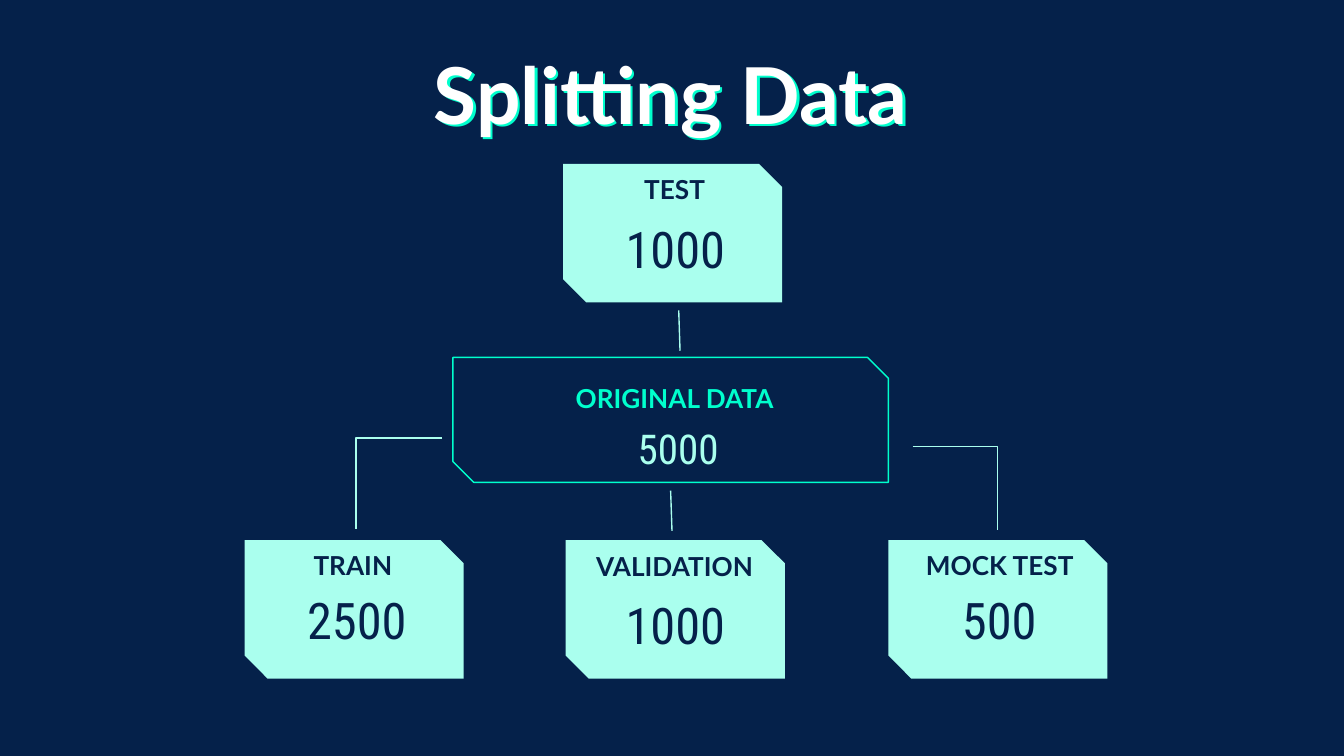
from typing import NamedTuple, Optional

from lxml.etree import SubElement
from pptx import Presentation
from pptx.dml.color import RGBColor
from pptx.enum.shapes import MSO_CONNECTOR, MSO_SHAPE
from pptx.enum.text import MSO_ANCHOR, MSO_AUTO_SIZE, PP_ALIGN
from pptx.oxml.ns import qn
from pptx.util import Inches, Pt

NAVY, MINT, TEAL, WHITE = "05214A", "AAFFEE", "00FFCD", "FFFFFF"
HEADING, NUMBER = "Lato", "Roboto Condensed"


class Box(NamedTuple):
    left: float
    top: float
    width: float
    height: float


class Subset(NamedTuple):
    label: str
    count: str
    card: Box
    label_at: Box
    count_at: Box


class Link(NamedTuple):
    start: tuple[float, float]
    end: tuple[float, float]
    bent: bool = False


def subset(label: str, count: str, card: tuple[float, float],
           label_at: tuple[float, float], count_at: tuple[float, float]) -> Subset:
    """All subsets share the same card, label and count sizes."""
    return Subset(label, count, Box(*card, 1.63, 1.03),
                  Box(*label_at, 1.56, 0.43), Box(*count_at, 1.41, 0.68))


SUBSETS = [
    subset("TRAIN ", "2500", (1.82, 4.02), (1.87, 3.99), (1.95, 4.28)),
    subset("MOCK TEST", "500", (6.61, 4.02), (6.66, 3.99), (6.73, 4.28)),
    subset("TEST", "1000", (4.19, 1.22), (4.24, 1.19), (4.32, 1.52)),
    subset("VALIDATION", "1000", (4.21, 4.02), (4.24, 4.0), (4.32, 4.32)),
]
LINKS = [
    Link((3.29, 3.26), (2.65, 3.94), bent=True),
    Link((6.79, 3.32), (7.42, 3.94), bent=True),
    Link((5.05, 2.31), (5.06, 2.61)),
    Link((4.99, 3.65), (5.0, 3.95)),
]


def color(value: str) -> RGBColor:
    return RGBColor.from_string(value)


def write(holder, text: str, font: str, size: float, ink: str,
          bold: bool = False, anchor: MSO_ANCHOR = MSO_ANCHOR.TOP) -> None:
    frame = holder.text_frame
    frame.word_wrap = True
    frame.auto_size = MSO_AUTO_SIZE.NONE
    frame.vertical_anchor = anchor
    frame.margin_left = frame.margin_right = Inches(0.1)
    frame.margin_top = frame.margin_bottom = Inches(0.1)
    paragraph = frame.paragraphs[0]
    paragraph.alignment = PP_ALIGN.CENTER
    run = paragraph.add_run()
    run.text = text
    run.font.name = font
    run.font.size = Pt(size)
    run.font.bold = bold
    run.font.color.rgb = color(ink)


def add_text_box(slide, box: Box):
    return slide.shapes.add_textbox(*map(Inches, box))


def add_label(slide, box: Box, text: str, ink: str) -> None:
    write(add_text_box(slide, box), text, HEADING, 14, ink, True, MSO_ANCHOR.BOTTOM)


def add_count(slide, box: Box, text: str, size: float, ink: str) -> None:
    write(add_text_box(slide, box), text, NUMBER, size, ink)


def add_card(slide, box: Box, fill: Optional[str] = None,
             outline: Optional[str] = None) -> None:
    card = slide.shapes.add_shape(MSO_SHAPE.SNIP_2_DIAG_RECTANGLE, *map(Inches, box))
    card.shadow.inherit = False
    card.adjustments[0], card.adjustments[1] = 0, 0.167
    if fill:
        card.fill.solid()
        card.fill.fore_color.rgb = color(fill)
    else:
        card.fill.background()
    if outline:
        card.line.color.rgb = color(outline)
        card.line.width = Pt(0.75)
    else:
        card.line.fill.background()


def add_link(slide, link: Link) -> None:
    """Draw a straight link, or one that runs across and then down."""
    kind = MSO_CONNECTOR.ELBOW if link.bent else MSO_CONNECTOR.STRAIGHT
    connector = slide.shapes.add_connector(kind, *map(Inches, link.start + link.end))
    connector.line.color.rgb = color(MINT)
    connector.line.width = Pt(0.75)
    properties = connector.element.spPr
    SubElement(properties, qn("a:effectLst"))
    if link.bent:
        guides = properties.find(qn("a:prstGeom")).find(qn("a:avLst"))
        SubElement(guides, qn("a:gd"), name="adj1", fmla="val 100000")


def add_title(slide, text: str) -> None:
    """Set the title over an offset teal echo of itself."""
    echo = add_text_box(slide, Box(2.16, 0.26, 5.7, 1.03))
    write(echo, text, HEADING, 42, TEAL, True)
    title = slide.shapes.title
    title.left, title.top, title.width, title.height = map(Inches, (2.14, 0.24, 5.7, 1.03))
    write(title, text, HEADING, 42, WHITE, True)
    title.element.getparent().append(title.element)


def main() -> None:
    deck = Presentation()
    deck.slide_width = Inches(10)
    deck.slide_height = Inches(10) * 9 // 16
    slide = deck.slides.add_slide(deck.slide_layouts[5])
    slide.background.fill.solid()
    slide.background.fill.fore_color.rgb = color(NAVY)

    for part in SUBSETS:
        add_card(slide, part.card, fill=MINT)
        add_label(slide, part.label_at, part.label, NAVY)
        add_count(slide, part.count_at, part.count, 27, NAVY)

    add_card(slide, Box(3.37, 2.66, 3.24, 0.93), outline=TEAL)
    add_label(slide, Box(3.75, 2.75, 2.54, 0.43), "ORIGINAL DATA", TEAL)
    add_count(slide, Box(4.34, 3.05, 1.41, 0.43), "5000", 22, MINT)

    for link in LINKS:
        add_link(slide, link)
    add_title(slide, "Splitting Data")
    deck.save("out.pptx")


if __name__ == "__main__":
    main()
